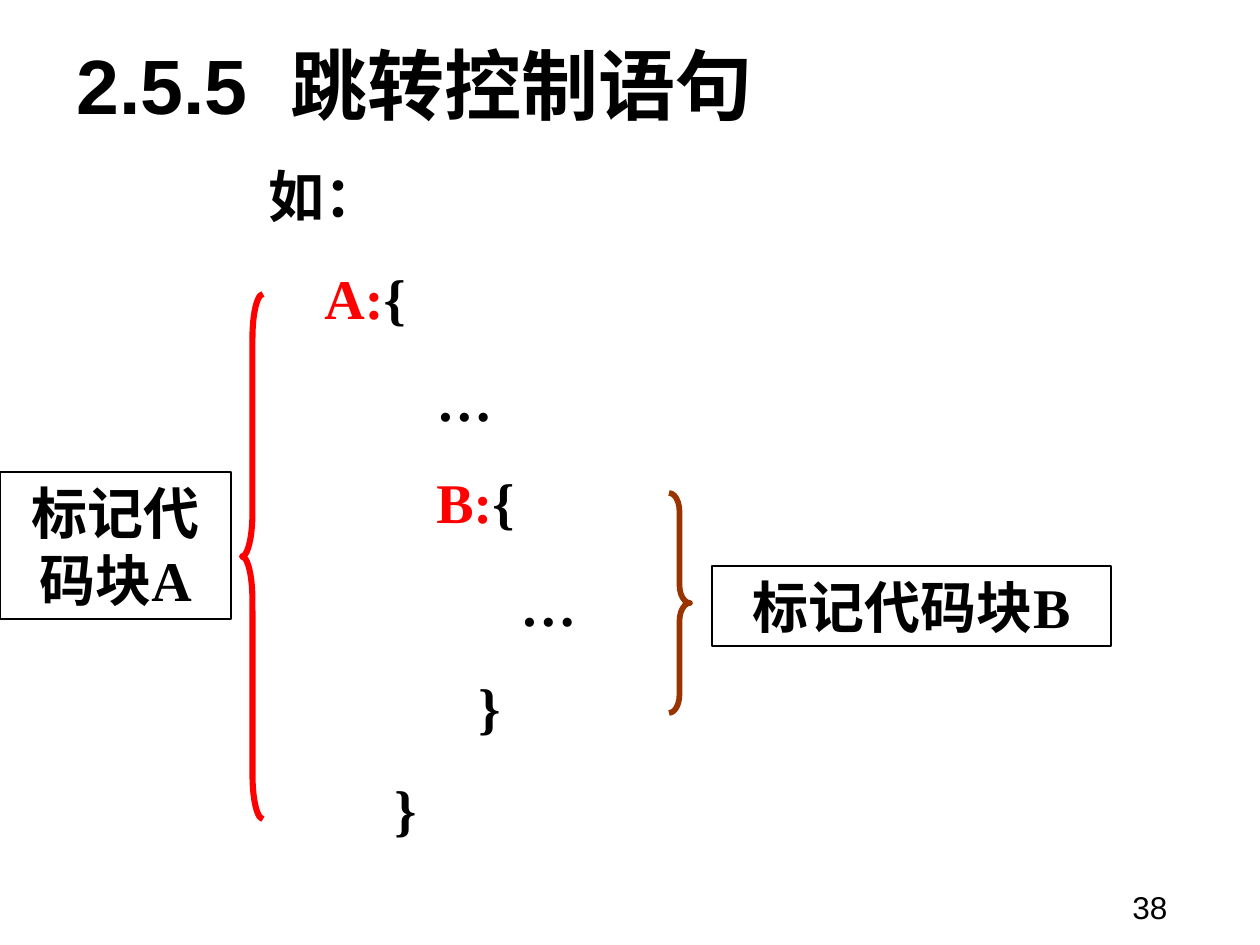
"""Build the slide on labelled code blocks and jump statements."""
from dataclasses import dataclass

from pptx import Presentation
from pptx.dml.color import RGBColor
from pptx.enum.shapes import MSO_SHAPE as Shape
from pptx.enum.text import MSO_ANCHOR as Anchor, MSO_AUTO_SIZE as AutoSize, PP_ALIGN as Align
from pptx.util import Emu, Pt

PX_PER_INCH = 126
SPACE_PX = 14
COLORS = {"black": "000000", "red": "FF0000", "brown": "993300"}
SERIF, SANS = "Times New Roman", "Arial"


@dataclass
class Box:
    x: int
    y: int
    w: int
    h: int


@dataclass
class CodeLine:
    indent: int
    label: str
    text: str


@dataclass
class Block:
    brace: Box
    kind: Shape
    color: str
    weight: float
    caption: Box
    text: str


CODE = [
    CodeLine(0, "", "如："),
    CodeLine(4, "A:", "{"),
    CodeLine(12, "", "…"),
    CodeLine(12, "B:", "{"),
    CodeLine(18, "", "…"),
    CodeLine(15, "", "}"),
    CodeLine(9, "", "}"),
]

BLOCKS = [
    Block(Box(669, 493, 21, 220), Shape.RIGHT_BRACE, "brown", 3.25,
          Box(712, 566, 399, 80), "标记代码块B"),
    Block(Box(242, 294, 21, 525), Shape.LEFT_BRACE, "red", 3.5,
          Box(0, 472, 231, 147), "标记代码块A"),
]


def px(n: int) -> Emu:
    return Emu(round(n * 914400 / PX_PER_INCH))


def bounds(box: Box) -> list[Emu]:
    return [px(n) for n in (box.x, box.y, box.w, box.h)]


def add_run(p, text: str, size: int, font: str, color: str = "black", bold: bool = True) -> None:
    r = p.add_run()
    r.text = text
    r.font.size = Pt(size)
    r.font.name = font
    r.font.bold = bold
    r.font.color.rgb = RGBColor.from_string(COLORS[color])


def add_outline(s, kind: Shape, box: Box, color: str, weight: float):
    sp = s.shapes.add_shape(kind, *bounds(box))
    sp.shadow.inherit = False
    sp.fill.background()
    sp.line.color.rgb = RGBColor.from_string(COLORS[color])
    sp.line.width = Pt(weight)
    return sp


def add_title(s, box: Box, text: str) -> None:
    sp = s.shapes.title
    sp.left, sp.top, sp.width, sp.height = bounds(box)
    tf = sp.text_frame
    tf.auto_size = AutoSize.NONE
    tf.vertical_anchor = Anchor.MIDDLE
    p = tf.paragraphs[0]
    p.alignment = Align.LEFT
    add_run(p, text, 44, SANS)


def add_code(s, box: Box, lines: list[CodeLine]) -> None:
    tf = s.shapes.add_textbox(*bounds(box)).text_frame
    tf.word_wrap = True
    for i, line in enumerate(lines):
        p = tf.add_paragraph() if i else tf.paragraphs[0]
        p.space_before = Pt(20)
        p._p.get_or_add_pPr().set("marL", str(px(line.indent * SPACE_PX)))
        if line.label:
            add_run(p, line.label, 32, SERIF, "red")
        add_run(p, line.text, 32, SERIF)


def add_block(s, block: Block) -> None:
    brace = add_outline(s, block.kind, block.brace, block.color, block.weight)
    brace.adjustments[0] = block.brace.h / 12 / block.brace.w
    tf = add_outline(s, Shape.RECTANGLE, block.caption, "black", 0.75).text_frame
    tf.word_wrap = True
    tf.vertical_anchor = Anchor.TOP
    p = tf.paragraphs[0]
    p.alignment = Align.CENTER
    p.space_before = Pt(20)
    add_run(p, block.text, 32, SERIF)


def add_page_number(s, box: Box, text: str) -> None:
    tf = s.shapes.add_textbox(*bounds(box)).text_frame
    tf.word_wrap = True
    add_run(tf.paragraphs[0], text, 18, SANS, bold=False)


def main() -> None:
    prs = Presentation()
    prs.slide_width, prs.slide_height = px(1260), px(945)
    s = prs.slides.add_slide(prs.slide_layouts[5])
    add_title(s, Box(64, 35, 1033, 97), "2.5.5  跳转控制语句")
    add_page_number(s, Box(1120, 882, 169, 50), "38")
    add_code(s, Box(256, 155, 1018, 693), CODE)
    for block in BLOCKS:
        add_block(s, block)
    prs.save("out.pptx")


if __name__ == "__main__":
    main()
